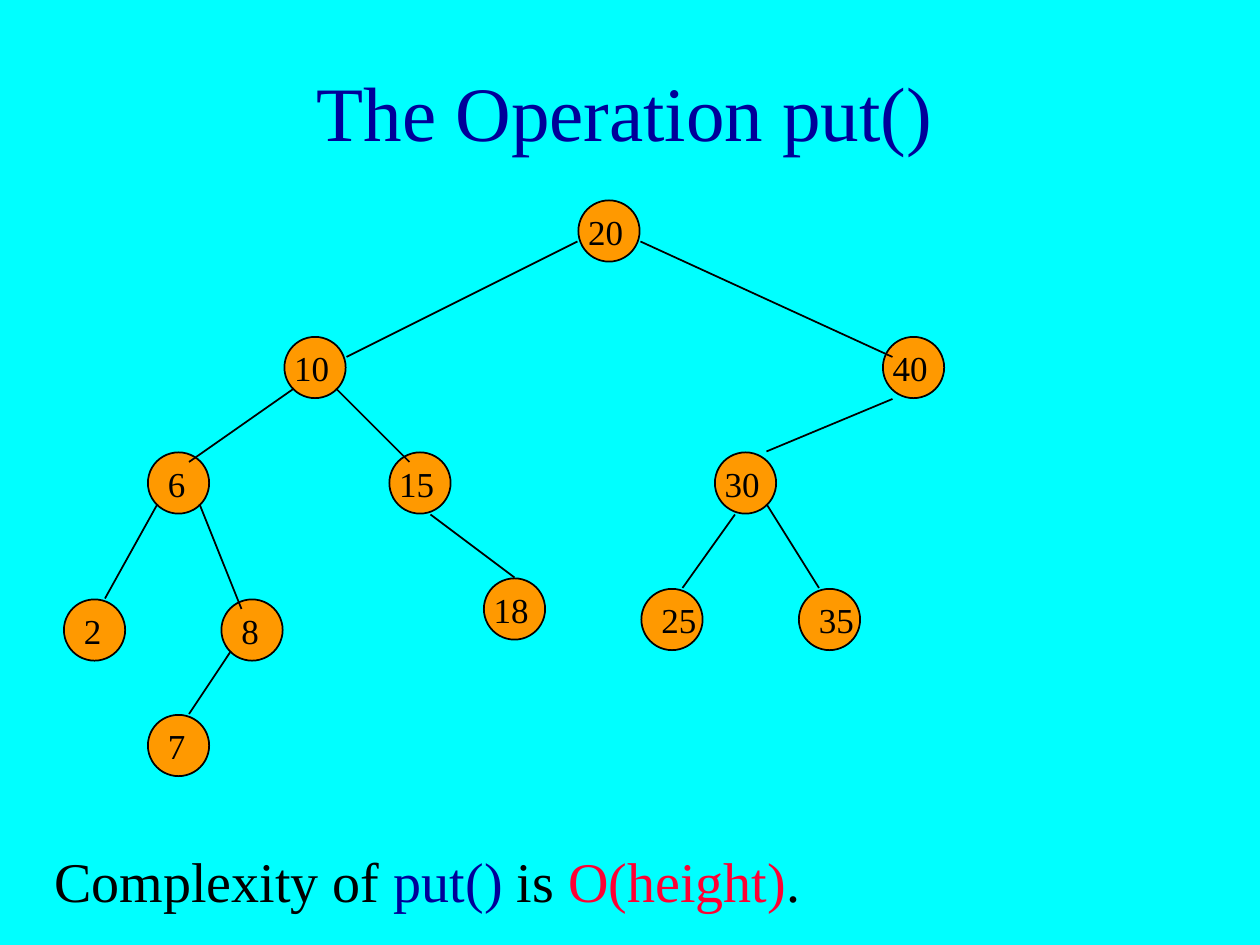
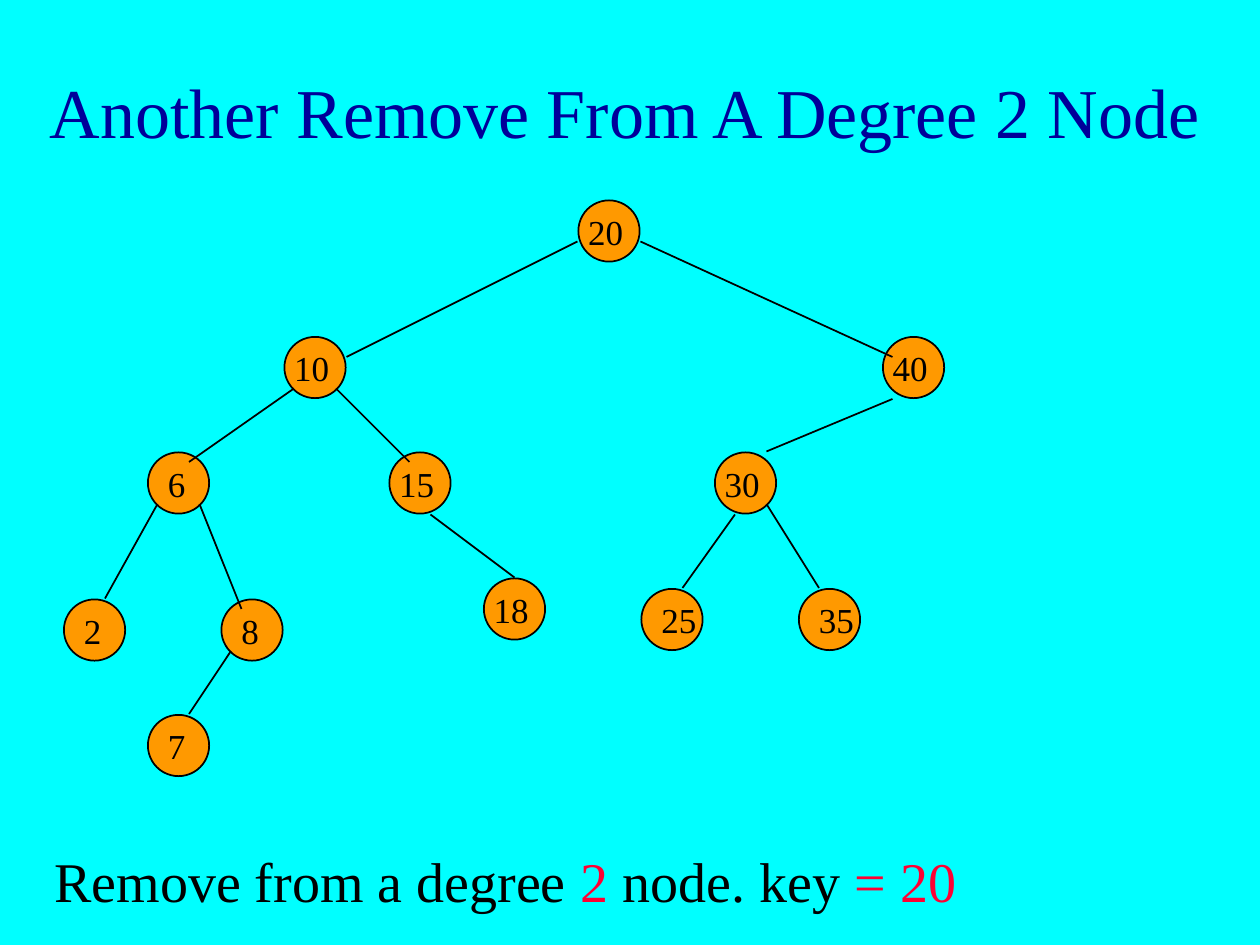
from dataclasses import dataclass

from lxml import etree
from pptx import Presentation
from pptx import util as u
from pptx.dml.color import RGBColor
from pptx.enum import shapes, text
from pptx.oxml import ns


@dataclass(frozen=True)
class Theme:
    font: str = "Times New Roman"
    background: str = "00FFFF"
    heading: str = "000099"
    ink: str = "000000"
    accent: str = "FF0033"
    node: str = "FF9900"
    title_size: int = 44
    long_title_size: int = 40
    caption_size: int = 32
    label_size: int = 20
    line_width: int = 1


THEME = Theme()
CELL = 36  # side of the square that holds one tree node, in points
NEAR, FAR = -1.5, 4.3  # label offsets from the left of a circle

# Tree nodes: key, left and top of the cell, label offset
NODES = [
    ("20", 330, 114, NEAR),
    ("10", 162, 192, NEAR),
    ("40", 504, 192, NEAR),
    ("6", 84, 258, FAR),
    ("15", 222, 258, NEAR),
    ("30", 408, 258, NEAR),
    ("2", 36, 342, FAR),
    ("8", 126, 342, FAR),
    ("25", 366, 336, FAR),
    ("35", 456, 336, FAR),
    ("7", 84, 408, FAR),
    ("18", 276, 330, NEAR),
]

# Tree edges: start x, y and end x, y
EDGES = [
    (330, 138, 198, 204),  # 20 to 10
    (366, 138, 510, 204),  # 20 to 40
    (168, 222, 108, 264),  # 10 to 6
    (192, 222, 234, 264),  # 10 to 15
    (510, 228, 438, 258),  # 40 to 30
    (90, 288, 60, 342),    # 6 to 2
    (114, 288, 138, 348),  # 6 to 8
    (246, 294, 294, 330),  # 15 to 18
    (420, 294, 390, 336),  # 30 to 25
    (438, 288, 468, 336),  # 30 to 35
    (132, 372, 108, 408),  # 8 to 7
]


class TreeDeck:
    def __init__(self, theme):
        self.theme = theme
        self.deck = Presentation()
        self.deck.slide_width, self.deck.slide_height = u.Pt(720), u.Pt(540)
        self.page = None

    def new_page(self):
        self.page = self.deck.slides.add_slide(self.deck.slide_layouts[6])
        fill = self.page.background.fill
        fill.solid()
        fill.fore_color.rgb = RGBColor.from_string(self.theme.background)

    def text_box(self, left, top, width, height, size, spans, wrap=True):
        """Add one paragraph made of (wording, colour) spans."""
        box = self.page.shapes.add_textbox(*map(u.Pt, (left, top, width, height)))
        box.text_frame.word_wrap = wrap
        para = box.text_frame.paragraphs[0]
        for wording, colour in spans:
            span = para.add_run()
            span.text = wording
            span.font.name = self.theme.font
            span.font.size = u.Pt(size)
            span.font.color.rgb = RGBColor.from_string(colour)
        return box

    def title(self, wording, size):
        box = self.text_box(6, 18, 702, 90, size, [(wording, self.theme.heading)])
        box.text_frame.vertical_anchor = text.MSO_ANCHOR.MIDDLE
        box.text_frame.paragraphs[0].alignment = text.PP_ALIGN.CENTER

    def caption(self, spans):
        box = self.text_box(24, 480, 648, 45.4, self.theme.caption_size, spans)
        box.text_frame.auto_size = text.MSO_AUTO_SIZE.SHAPE_TO_FIT_TEXT
        box.text_frame.paragraphs[0].space_before = u.Pt(20)

    def outline(self, line):
        line.color.rgb = RGBColor.from_string(self.theme.ink)
        line.width = u.Pt(self.theme.line_width)

    def circle(self, left, top):
        node = self.page.shapes.add_shape(
            shapes.MSO_SHAPE.OVAL,
            u.Pt(left + 0.5), u.Pt(top + 0.5), u.Pt(CELL - 1), u.Pt(CELL - 1))
        node.shadow.inherit = False
        node.fill.solid()
        node.fill.fore_color.rgb = RGBColor.from_string(self.theme.node)
        self.outline(node.line)

    def edge(self, *ends):
        line = self.page.shapes.add_connector(
            shapes.MSO_CONNECTOR.STRAIGHT, *map(u.Pt, ends))
        self.outline(line.line)
        etree.SubElement(line._element.spPr, ns.qn("a:effectLst"))

    def label(self, key, left, top, offset):
        width = 14.4 + 10 * len(key)
        box = self.text_box(left + 0.5 + offset, top + 2.5, width, 31,
                            self.theme.label_size, [(key, self.theme.ink)],
                            wrap=False)
        box.text_frame.auto_size = text.MSO_AUTO_SIZE.SHAPE_TO_FIT_TEXT

    def tree(self):
        # Edges lie over the circles, labels over both
        for _, left, top, _ in NODES:
            self.circle(left, top)
        for ends in EDGES:
            self.edge(*ends)
        for node in NODES:
            self.label(*node)


def main():
    show = TreeDeck(THEME)
    pages = [
        ("The Operation put()", THEME.title_size, [
            ("Complexity of ", THEME.ink), ("put() ", THEME.heading),
            ("is ", THEME.ink), ("O(height)", THEME.accent), (".", THEME.ink)]),
        ("Another Remove From A Degree 2 Node", THEME.long_title_size, [
            ("Remove from a degree ", THEME.ink), ("2 ", THEME.accent),
            ("node. key ", THEME.ink), ("= 20", THEME.accent)]),
    ]
    for title, size, caption in pages:
        show.new_page()
        show.title(title, size)
        show.tree()
        show.caption(caption)
    show.deck.save("out.pptx")


if __name__ == "__main__":
    main()
